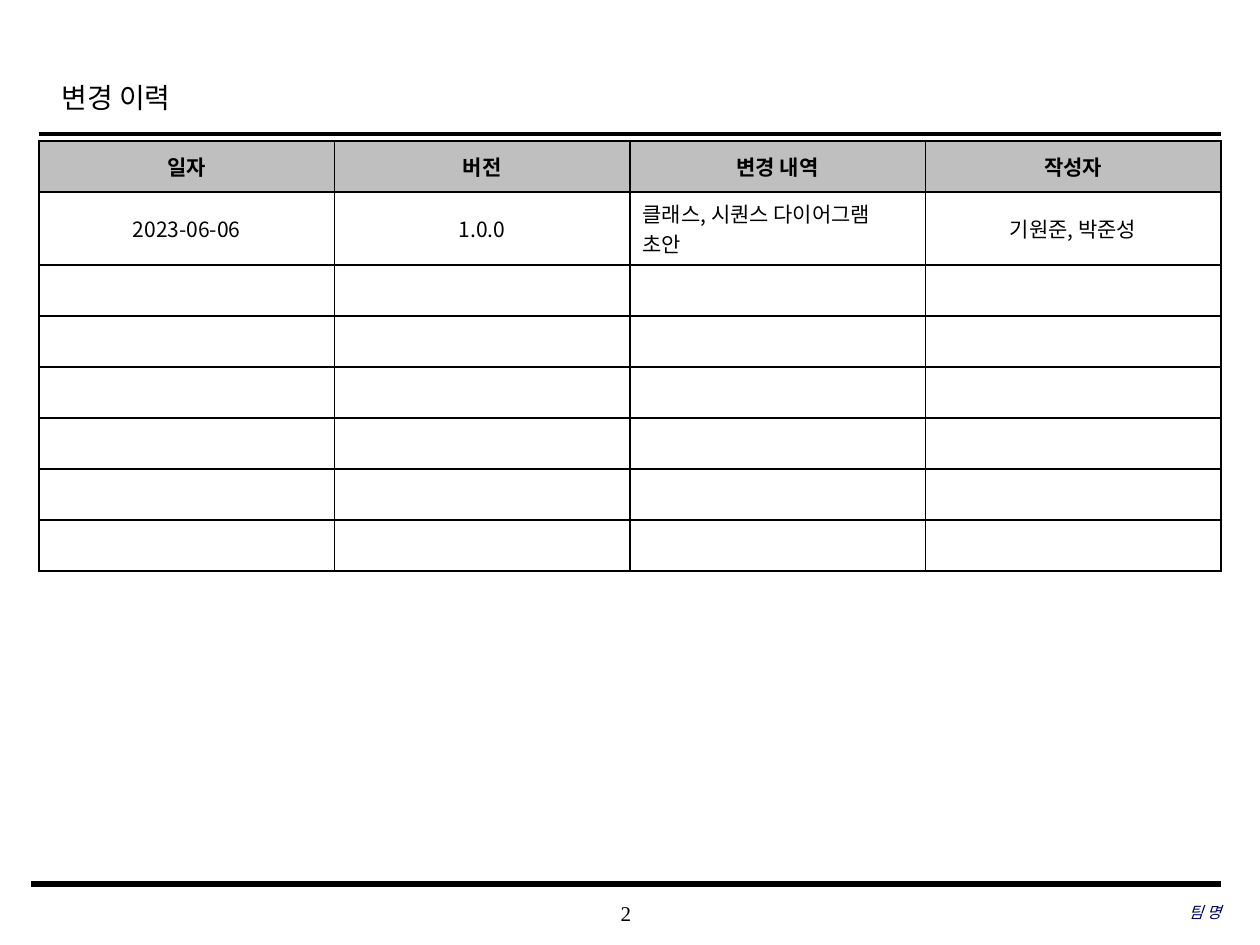
from lxml.etree import SubElement
from pptx import Presentation
from pptx.dml.color import RGBColor
from pptx.enum.shapes import MSO_CONNECTOR
from pptx.enum.text import MSO_ANCHOR, PP_ALIGN
from pptx.oxml.ns import qn
from pptx.util import Pt

EMU_PER_PX = 914400 / 126
COLORS = {"ink": "000000", "team": "000066", "header": "BFBFBF", "cell": "FFFFFF"}
SERIF = "Times New Roman"
KOREAN = "Noto Sans CJK KR"
ROW_COUNT = 8
HISTORY = [
    ["일자", "버전", "변경 내역", "작성자"],
    ["2023-06-06", "1.0.0", "클래스, 시퀀스 다이어그램 초안", "기원준, 박준성"],
]


def px(n):
    return round(n * EMU_PER_PX)


def rgb(name):
    return RGBColor.from_string(COLORS[name])


def write(tf, text, size, font=SERIF, color="ink", align=PP_ALIGN.LEFT, bold=False, italic=False):
    tf.text = text
    p = tf.paragraphs[0]
    p.alignment = align
    for r in p.runs:
        r.font.name = font
        r.font.size = Pt(size)
        r.font.bold = bold
        r.font.italic = italic
        r.font.color.rgb = rgb(color)
        SubElement(r._r.get_or_add_rPr(), qn("a:ea"), typeface=KOREAN)


def set_title(s, text):
    sp = s.shapes.title
    sp.left, sp.top, sp.width, sp.height = px(49), px(62), px(951), px(63)
    tf = sp.text_frame
    tf.vertical_anchor = MSO_ANCHOR.MIDDLE
    write(tf, text, 16)
    tf.paragraphs[0].line_spacing = 1.2


def add_rule(s, left, right, y, weight):
    line = s.shapes.add_connector(MSO_CONNECTOR.STRAIGHT, px(left), px(y), px(right), px(y))
    line.line.color.rgb = rgb("ink")
    line.line.width = Pt(weight)
    SubElement(line._element.spPr, qn("a:effectLst"))


def add_footer(s, text, left, top, width, size, **style):
    tf = s.shapes.add_textbox(px(left), px(top), px(width), px(42)).text_frame
    tf.word_wrap = True
    tf.vertical_anchor = MSO_ANCHOR.MIDDLE
    tf.margin_left = tf.margin_right = tf.margin_top = tf.margin_bottom = 0
    write(tf, text, size, **style)


def add_borders(cell):
    tcPr = cell._tc.get_or_add_tcPr()
    for i, side in enumerate(("lnL", "lnR", "lnT", "lnB")):
        ln = tcPr.makeelement(qn(f"a:{side}"), {"w": str(Pt(1))})
        fill = SubElement(ln, qn("a:solidFill"))
        SubElement(fill, qn("a:srgbClr"), val=COLORS["ink"])
        tcPr.insert(i, ln)


def add_history(s, left, top, width, row_height, entry_height):
    cols = len(HISTORY[0])
    table = s.shapes.add_table(
        ROW_COUNT, cols, px(left), px(top), px(width), px(row_height * ROW_COUNT)
    ).table
    for col in table.columns:
        col.width = px(width / cols)
    for i, row in enumerate(table.rows):
        row.height = px(entry_height if i == 1 else row_height)
        for j, cell in enumerate(row.cells):
            cell.fill.solid()
            cell.fill.fore_color.rgb = rgb("cell" if i else "header")
            cell.vertical_anchor = MSO_ANCHOR.MIDDLE
            cell.margin_top = cell.margin_bottom = px(4)
            add_borders(cell)
            if i < len(HISTORY):
                align = PP_ALIGN.LEFT if (i, j) == (1, 2) else PP_ALIGN.CENTER
                write(cell.text_frame, HISTORY[i][j], 12, KOREAN, align=align, bold=i == 0)


def main():
    prs = Presentation()
    prs.slide_width, prs.slide_height = px(1260), px(945)
    s = prs.slides.add_slide(prs.slide_layouts[5])
    add_footer(s, "2", 495, 892, 262, 12, align=PP_ALIGN.CENTER)
    add_rule(s, 39, 1221, 134, 2.5)
    add_rule(s, 31, 1221, 884, 3)
    set_title(s, "변경 이력")
    add_footer(s, "팀 명", 835, 891, 386, 9, color="team", align=PP_ALIGN.RIGHT, italic=True)
    add_history(s, 39, 141, 1182, 51, 73)
    prs.save("out.pptx")


if __name__ == "__main__":
    main()
